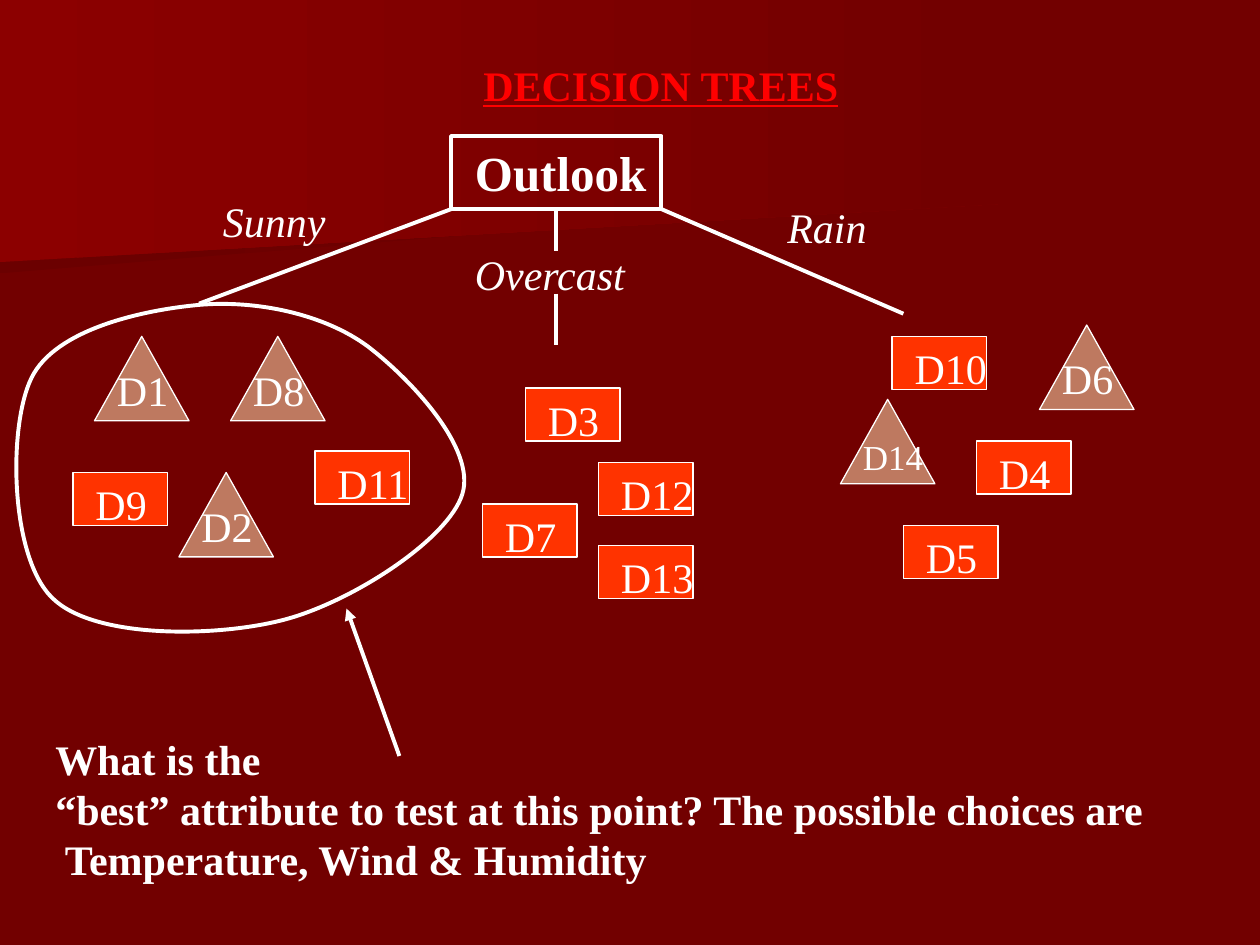
from dataclasses import dataclass

from lxml.etree import SubElement
from pptx import Presentation
from pptx.dml.color import RGBColor
from pptx.enum.shapes import MSO_CONNECTOR, MSO_SHAPE
from pptx.enum.text import MSO_ANCHOR, MSO_AUTO_SIZE, PP_ALIGN
from pptx.oxml.ns import qn
from pptx.util import Inches, Pt


@dataclass(frozen=True)
class Theme:
    font: str = "Times New Roman"
    background: RGBColor = RGBColor(0x72, 0x00, 0x00)
    lower_glow: RGBColor = RGBColor(0x6B, 0x00, 0x00)
    upper_glow: RGBColor = RGBColor(0x8C, 0x00, 0x00)
    title: RGBColor = RGBColor(0xFF, 0x00, 0x00)
    ink: RGBColor = RGBColor(0xFF, 0xFF, 0xFF)
    yes: RGBColor = RGBColor(0xFF, 0x33, 0x00)
    no: RGBColor = RGBColor(0xBE, 0x79, 0x60)
    root_size: int = 28
    body_size: int = 24
    small_size: int = 20
    thin: float = 0.75
    thick: float = 2.25


THEME = Theme()
LEAF_W = 0.75
YES, NO = "yes", "no"

# Each branch: left, top, then the leaves (name, kind, offset x, offset y).
BRANCHES = [
    (0.58, 2.67, [("D11", YES, 1.92, 0.91), ("D9", YES, 0, 1.08),
                  ("D8", NO, 1.25, 0), ("D2", NO, 0.84, 1.08),
                  ("D1", NO, 0.17, 0)]),
    (3.83, 3.08, [("D13", YES, 0.92, 1.25), ("D12", YES, 0.92, 0.59),
                  ("D7", YES, 0, 0.92), ("D3", YES, 0.34, 0)]),
    (6.67, 2.58, [("D10", YES, 0.41, 0.09), ("D4", YES, 1.08, 0.92),
                  ("D5", YES, 0.5, 1.59), ("D14", NO, 0, 0.59),
                  ("D6", NO, 1.58, 0)]),
]
QUESTION = [
    "What is the",
    "“best” attribute to test at this point? The possible choices are",
    " Temperature, Wind & Humidity",
]


def style_text(tf, size, color=THEME.ink, bold=False, italic=False,
               underline=False, align=PP_ALIGN.LEFT):
    tf.vertical_anchor = MSO_ANCHOR.TOP
    for p in tf.paragraphs:
        p.alignment = align
        for r in p.runs:
            f = r.font
            f.name, f.size = THEME.font, Pt(size)
            f.bold, f.italic, f.underline = bold, italic, underline
            f.color.rgb = color


def add_text(shapes, text, x, y, w, h, size=THEME.body_size, **style):
    tf = shapes.add_textbox(Inches(x), Inches(y), Inches(w), Inches(h)).text_frame
    tf.text = text
    tf.word_wrap = False
    tf.auto_size = MSO_AUTO_SIZE.SHAPE_TO_FIT_TEXT
    style_text(tf, size, **style)


def outline(sp, width):
    sp.shadow.inherit = False
    sp.line.color.rgb = THEME.ink
    sp.line.width = Pt(width)


def add_line(s, x1, y1, x2, y2, arrow=False):
    line = s.shapes.add_connector(MSO_CONNECTOR.STRAIGHT, Inches(x1), Inches(y1),
                                  Inches(x2), Inches(y2))
    line.line.color.rgb = THEME.ink
    line.line.width = Pt(THEME.thick)
    props = line.element.spPr
    if arrow:
        SubElement(props.find(qn("a:ln")), qn("a:tailEnd"), type="triangle")
    SubElement(props, qn("a:effectLst"))
    return line


def add_outline_shape(s, points):
    pts = [(Inches(x), Inches(y)) for x, y in points]
    fb = s.shapes.build_freeform(*pts[0])
    fb.add_line_segments(pts[1:], close=True)
    sp = fb.convert_to_shape()
    sp.shadow.inherit = False
    return sp


def draw_background(s):
    s.background.fill.solid()
    s.background.fill.fore_color.rgb = THEME.background
    wedges = [
        (THEME.lower_glow, [(7.78, 1.53), (0, 2.17), (0, 1.01), (7.79, 1.01)]),
        (THEME.upper_glow, [(7.92, 1.62), (0, 2.08), (0, 0), (7.92, 0)]),
    ]
    for glow, points in wedges:
        sp = add_outline_shape(s, points)
        sp.line.fill.background()
        sp.fill.gradient()
        sp.fill.gradient_angle = 0
        for stop, color in zip(sp.fill.gradient_stops, (glow, THEME.background)):
            stop.color.rgb = color


def draw_leaf(s, name, kind, x, y):
    is_yes = kind == YES
    h = 0.42 if is_yes else 0.67
    size = THEME.body_size if is_yes or len(name) < 3 else THEME.small_size
    group = s.shapes.add_group_shape()
    sp = group.shapes.add_shape(
        MSO_SHAPE.RECTANGLE if is_yes else MSO_SHAPE.ISOSCELES_TRIANGLE,
        Inches(x), Inches(y), Inches(LEAF_W), Inches(h))
    sp.fill.solid()
    sp.fill.fore_color.rgb = THEME.yes if is_yes else THEME.no
    outline(sp, THEME.thin)
    # Label box: insets plus a wide capital and half-em digits.
    text_w = 0.22 + size / 72 * (0.72 + 0.5 * (len(name) - 1))
    text_h = 0.1 + 1.2 * size / 72
    text_y = y if is_yes else y + h - text_h
    add_text(group.shapes, name, x + 0.08, text_y, text_w, text_h, size)


def draw_branch(s, left, top, leaves):
    for name, kind, dx, dy in leaves:
        draw_leaf(s, name, kind, left + dx, top + dy)


def draw_root(s, x, y, w, h):
    """Draw the root test and the three labelled edges that leave it."""
    root = s.shapes.add_shape(MSO_SHAPE.RECTANGLE, Inches(x), Inches(y),
                              Inches(w), Inches(h))
    root.fill.background()
    outline(root, THEME.thick)
    tf = root.text_frame
    tf.text = "Outlook"
    tf.word_wrap = False
    tf.margin_left, tf.margin_right = Inches(0.19), 0
    style_text(tf, THEME.root_size, bold=True)

    bottom, middle = y + h, x + w / 2
    add_line(s, x + w, bottom, x + w + 1.92, bottom + 0.83)
    add_line(s, x, bottom, x - 2, bottom + 0.75)
    add_line(s, middle, bottom, middle, bottom + 0.33).begin_connect(root, 2)
    add_line(s, middle, bottom + 0.67, middle, bottom + 1.08)
    for label, dx, dy, label_w in [("Sunny", -1.91, 0.42, 1.08),
                                   ("Overcast", 0.09, 0.84, 1.45),
                                   ("Rain", 2.57, 0.47, 0.88)]:
        add_text(s.shapes, label, x + dx, y + dy, label_w, 0.5, italic=True)


def draw_loop(s, x, y):
    """Circle the sunny branch; after the start, each three points are one curve."""
    points = [(1.52, 0.04), (1.08, 0.08), (0.38, 0.23), (0.19, 0.62),
              (0, 1.01), (0.02, 2.05), (0.36, 2.37),
              (0.69, 2.69), (1.65, 2.68), (2.19, 2.54),
              (2.73, 2.4), (3.5, 1.9), (3.61, 1.54),
              (3.72, 1.18), (3.2, 0.63), (2.86, 0.37),
              (2.51, 0.11), (1.97, 0), (1.52, 0.04)]
    sp = add_outline_shape(s, [(x + dx, y + dy) for dx, dy in points])
    sp.fill.background()
    outline(sp, THEME.thick)
    path = next(sp.element.iter(qn("a:path")))
    segments = path.findall(qn("a:lnTo"))
    for i in range(0, len(points) - 1, 3):
        curve = SubElement(path, qn("a:cubicBezTo"))
        for segment in segments[i:i + 3]:
            curve.append(segment[0])
    for segment in segments:
        path.remove(segment)
    path.append(path.find(qn("a:close")))


def draw_question(s, x, y, w, h):
    add_text(s.shapes, "\n".join(QUESTION), x, y, w, h, bold=True)
    add_line(s, x + 2.83, y + 0.23, x + 2.41, y - 0.94, arrow=True)


def draw_title(s, x, y, w, h):
    title = s.shapes.title
    title.left, title.top = Inches(x), Inches(y)
    title.width, title.height = Inches(w), Inches(h)
    title.text_frame.text = "DECISION TREES"
    style_text(title.text_frame, THEME.body_size, THEME.title, bold=True,
               underline=True, align=PP_ALIGN.CENTER)
    s.shapes.element.append(title.element)  # in front of the background


def main():
    prs = Presentation()
    prs.slide_width, prs.slide_height = Inches(10), Inches(7.5)
    s = prs.slides.add_slide(prs.slide_layouts[5])
    draw_background(s)
    for left, top, leaves in BRANCHES:
        draw_branch(s, left, top, leaves)
    draw_root(s, 3.58, 1.08, 1.67, 0.58)
    draw_loop(s, 0.06, 2.38)
    draw_question(s, 0.34, 5.77, 8.85, 1.3)
    draw_title(s, 0.83, 0.42, 8.83, 0.5)
    prs.save("out.pptx")


if __name__ == "__main__":
    main()
